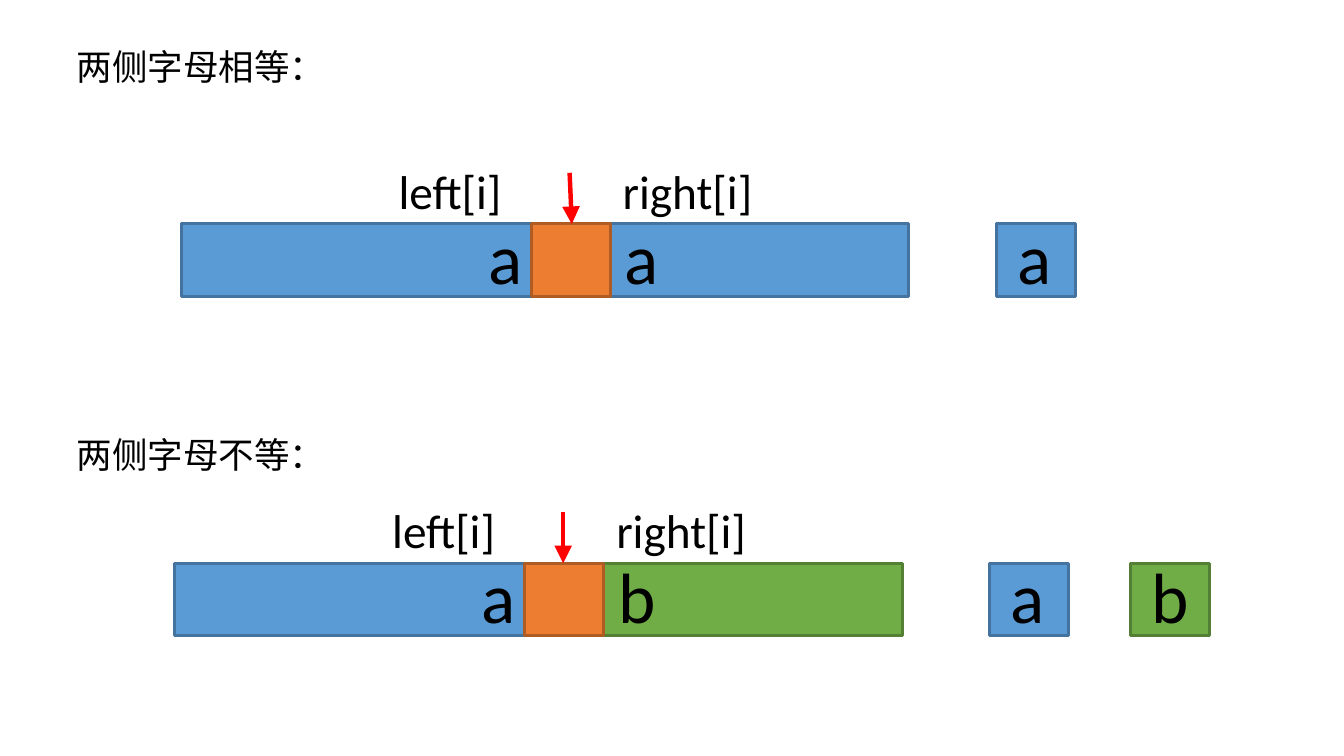
"""Build a slide comparing equal and unequal letters on both sides of a position."""
from dataclasses import dataclass

from lxml import etree
from pptx import Presentation
from pptx.dml.color import RGBColor
from pptx.enum.shapes import MSO_CONNECTOR, MSO_SHAPE
from pptx.enum.text import MSO_ANCHOR, MSO_AUTO_SIZE, PP_ALIGN
from pptx.oxml.ns import qn
from pptx.shapes.autoshape import Shape
from pptx.slide import Slide
from pptx.util import Inches, Pt

RECTANGLE = MSO_SHAPE.RECTANGLE
STRAIGHT = MSO_CONNECTOR.STRAIGHT
TOP = MSO_ANCHOR.TOP
LEFT = PP_ALIGN.LEFT
NO_AUTOFIT = MSO_AUTO_SIZE.NONE

COLORS = {
    "blue": "5B9BD5", "blue_edge": "43739E",
    "green": "70AD47", "green_edge": "538035",
    "orange": "ED7D31", "orange_edge": "AF5C24",
    "arrow": "FF0000", "text": "000000",
}
FONT = "Calibri"
CM_PER_INCH = 2.54
SLIDE_WIDTH_CM, SLIDE_HEIGHT_CM = 16, 9
LEFT_WIDTH, MIDDLE_WIDTH, RIGHT_WIDTH = 1.64, 0.37, 1.4
BAR_HEIGHT = 0.34
TILE_OFFSET, TILE_STEP = 3.82, 0.66
LETTER_COLORS = {"a": "blue", "b": "green"}


@dataclass(frozen=True)
class Case:
    heading: str
    heading_top: float
    placeholder_index: int
    left: float
    top: float
    left_letter: str
    right_letter: str
    arrow_lean: float


CASES = [
    Case("两侧字母相等：", 0.16, 0, 0.85, 1.05, "a", "a", 0.01),
    Case("两侧字母不等：", 1.98, 1, 0.82, 2.64, "a", "b", 0),
]


def color(name: str) -> RGBColor:
    """Look up a named colour."""
    return RGBColor.from_string(COLORS[name])


def write(box: Shape, text: str, size: float) -> None:
    """Put one left-aligned line of text in a box."""
    frame = box.text_frame
    frame.text = text
    frame.word_wrap = True
    frame.auto_size = NO_AUTOFIT
    frame.vertical_anchor = TOP
    frame.margin_left, frame.margin_right = Inches(0.1), 0
    frame.margin_top = frame.margin_bottom = Inches(0.05)
    paragraph = frame.paragraphs[0]
    paragraph.alignment = LEFT
    paragraph.space_before = Pt(0)
    font = paragraph.runs[0].font
    font.name, font.size, font.bold = FONT, Pt(size), False
    font.color.rgb = color("text")


def add_label(slide: Slide, text: str, left: float, top: float,
              width: float, height: float, size: float) -> None:
    """Add a text box."""
    label = slide.shapes.add_textbox(
        Inches(left), Inches(top), Inches(width), Inches(height))
    write(label, text, size)


def add_letter(slide: Slide, letter: str, left: float, bar_top: float, width: float) -> None:
    """Add a large letter over a bar."""
    add_label(slide, letter, left, bar_top - 0.1, width, 0.5, 24)


def add_bar(slide: Slide, left: float, top: float, width: float, fill: str) -> None:
    """Add an outlined bar."""
    bar = slide.shapes.add_shape(
        RECTANGLE, Inches(left), Inches(top), Inches(width), Inches(BAR_HEIGHT))
    bar.shadow.inherit = False
    bar.fill.solid()
    bar.fill.fore_color.rgb = color(fill)
    bar.line.color.rgb = color(f"{fill}_edge")
    bar.line.width = Pt(1)


def add_arrow(slide: Slide, left: float, bar_top: float, lean: float) -> None:
    """Add an arrow pointing down at a bar."""
    arrow = slide.shapes.add_connector(
        STRAIGHT, Inches(left), Inches(bar_top - 0.24), Inches(left + lean), Inches(bar_top))
    arrow.line.color.rgb = color("arrow")
    arrow.line.width = Pt(1.5)
    properties = arrow._element.spPr
    etree.SubElement(properties.find(qn("a:ln")), qn("a:tailEnd"), type="triangle")
    etree.SubElement(properties, qn("a:effectLst"))


def add_case(slide: Slide, case: Case) -> None:
    """Draw one heading with its string and the resulting letters."""
    heading = slide.placeholders[case.placeholder_index]
    heading.left, heading.top = Inches(0.26), Inches(case.heading_top)
    heading.width, heading.height = Inches(1.37), Inches(0.3)
    write(heading, case.heading, 12)

    middle = case.left + LEFT_WIDTH
    right = middle + MIDDLE_WIDTH
    add_bar(slide, case.left, case.top, LEFT_WIDTH, LETTER_COLORS[case.left_letter])
    add_bar(slide, right, case.top, RIGHT_WIDTH, LETTER_COLORS[case.right_letter])
    add_bar(slide, middle, case.top, MIDDLE_WIDTH, "orange")
    add_letter(slide, case.left_letter, middle - 0.3, case.top, 0.21)
    add_letter(slide, case.right_letter, right - 0.03, case.top, 0.21)
    add_arrow(slide, middle + 0.18, case.top, case.arrow_lean)
    add_label(slide, "left[i]", middle - 0.72, case.top - 0.34, 0.74, 0.37, 16)
    add_label(slide, "right[i]", right - 0.04, case.top - 0.34, 0.95, 0.37, 16)

    for index, letter in enumerate(sorted({case.left_letter, case.right_letter})):
        tile_left = case.left + TILE_OFFSET + index * TILE_STEP
        add_bar(slide, tile_left, case.top, MIDDLE_WIDTH, LETTER_COLORS[letter])
        add_letter(slide, letter, tile_left, case.top, 0.34)


def main() -> None:
    """Build and save the slide."""
    presentation = Presentation()
    presentation.slide_width = Inches(SLIDE_WIDTH_CM / CM_PER_INCH)
    presentation.slide_height = Inches(SLIDE_HEIGHT_CM / CM_PER_INCH)
    comparison_layout = presentation.slide_layouts[4]
    slide = presentation.slides.add_slide(comparison_layout)
    used = {case.placeholder_index for case in CASES}
    for placeholder in list(slide.placeholders):
        if placeholder.placeholder_format.idx not in used:
            placeholder._element.getparent().remove(placeholder._element)
    for case in CASES:
        add_case(slide, case)
    presentation.save("out.pptx")


if __name__ == "__main__":
    main()
